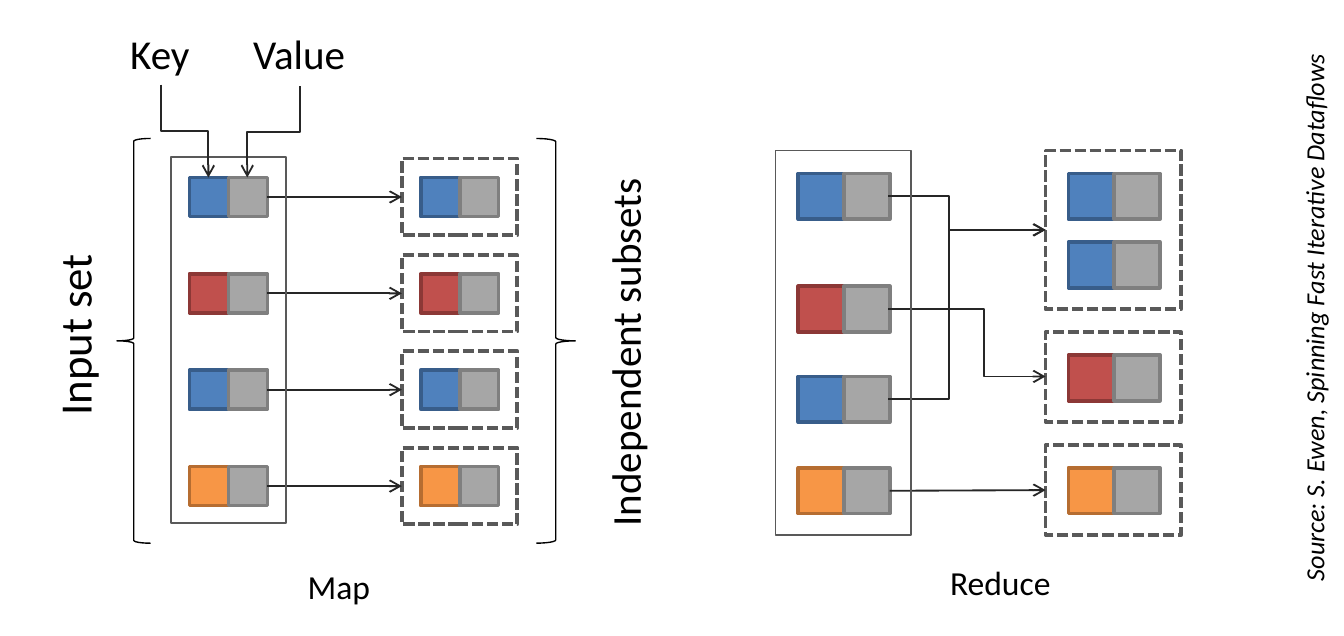
from dataclasses import dataclass

from pptx import Presentation
from pptx import util as u
from pptx.dml.color import RGBColor
from pptx.enum import dml, shapes, text
from pptx.oxml.ns import qn
from lxml import etree

Inches = u.Inches


@dataclass(frozen=True)
class Theme:
    font: str = "Calibri"
    ink: str = "000000"
    arrow: str = "262626"
    frame: str = "595959"
    value: tuple = ("A6A6A6", "7F7F7F")
    blue: tuple = ("4F81BD", "385D8A")
    red: tuple = ("C0504D", "8C3836")
    orange: tuple = ("F79646", "B66D31")
    heading: int = 24
    label: int = 22
    caption: int = 18
    source: int = 14


class Diagram:
    def __init__(self, slide, theme):
        self.slide, self.theme = slide, theme
        self.use_slide()

    def use_slide(self):
        self.shapes = self.slide.shapes

    def start_group(self):
        self.shapes = self.slide.shapes.add_group_shape().shapes

    def outline(self, kind, box, color, width, fill=None):
        shape = self.shapes.add_shape(kind, *map(Inches, box))
        shape.shadow.inherit = False
        if fill:
            shape.fill.solid()
            shape.fill.fore_color.rgb = RGBColor.from_string(fill)
        else:
            shape.fill.background()
        shape.line.color.rgb = RGBColor.from_string(color)
        shape.line.width = u.Pt(width)
        return shape

    def pair(self, x, y, side, key_colors):
        """Draw a key square beside a value square; return the value square."""
        for i, (fill, line) in enumerate((key_colors, self.theme.value)):
            square = self.outline(shapes.MSO_SHAPE.RECTANGLE,
                                  (x + i * side, y, side, side), line, 2, fill)
        return square

    def frame(self, box, dashed=False):
        frame = self.outline(shapes.MSO_SHAPE.RECTANGLE, box,
                             self.theme.frame, 2 if dashed else 1)
        if dashed:
            frame.line.dash_style = dml.MSO_LINE.SQUARE_DOT
        return frame

    def brace(self, kind, box):
        self.outline(kind, box, self.theme.ink, 0.75)

    def connector(self, kind, start, end):
        line = self.shapes.add_connector(kind, *map(Inches, (*start, *end)))
        line.line.color.rgb = RGBColor.from_string(self.theme.arrow)
        line.line.width = u.Pt(1)
        properties = line._element.spPr
        etree.SubElement(properties.find(qn("a:ln")), qn("a:tailEnd"), type="arrow")
        etree.SubElement(properties, qn("a:effectLst"))
        return line

    def arrow(self, source, target):
        """Join the right side of source to the left side of target."""
        line = self.connector(shapes.MSO_CONNECTOR.STRAIGHT, (0, 0), (1, 1))
        line.begin_connect(source, 3)
        line.end_connect(target, 1)

    def elbow(self, start, end, bend):
        """Leave sideways and turn at the given fraction of the width."""
        line = self.connector(shapes.MSO_CONNECTOR.ELBOW, start, end)
        adjustments = line._element.spPr.find(qn("a:prstGeom")).find(qn("a:avLst"))
        etree.SubElement(adjustments, qn("a:gd"), name="adj1",
                         fmla=f"val {round(bend * 100000)}")

    def elbow_down(self, start, end):
        """Leave downwards: a sideways elbow turned by a quarter."""
        (x1, y1), (x2, y2) = start, end
        x, y = (x1 + x2) / 2, (y1 + y2) / 2
        half_w, half_h = (y2 - y1) / 2, abs(x2 - x1) / 2
        line = self.connector(shapes.MSO_CONNECTOR.ELBOW,
                              (x - half_w, y - half_h), (x + half_w, y + half_h))
        placement = line._element.spPr.find(qn("a:xfrm"))
        if x2 > x1:
            placement.set("rot", "16200000")
            placement.set("flipH", "1")
        else:
            placement.set("rot", "5400000")

    def label(self, words, box, size, rotation=0, centred=False, wrap=True, italic=None):
        label = self.shapes.add_textbox(*map(Inches, box))
        label.rotation = rotation
        body = label.text_frame
        body.word_wrap = wrap
        body.auto_size = text.MSO_AUTO_SIZE.SHAPE_TO_FIT_TEXT
        paragraph = body.paragraphs[0]
        paragraph.text = words
        paragraph.alignment = text.PP_ALIGN.CENTER if centred else text.PP_ALIGN.LEFT
        font = paragraph.font
        font.name, font.size, font.italic = self.theme.font, u.Pt(size), italic
        font.color.rgb = RGBColor.from_string(self.theme.ink)


def draw_map(diagram):
    theme = diagram.theme
    side, first_row, row_step = 0.29, 1.32, 2.15 / 3
    diagram.start_group()
    for i, key in enumerate((theme.blue, theme.red, theme.blue, theme.orange)):
        y = first_row + i * row_step
        record = diagram.pair(1.41, y, side, key)
        diagram.pair(3.13, y, side, key)
        subset = diagram.frame((2.99, y - 0.14, 0.86, 0.57), dashed=True)
        diagram.arrow(record, subset)
    diagram.frame((1.27, 1.17, 0.86, 2.72))
    diagram.label("Input set", (-0.67, 2.24, 2.44, 0.5), theme.heading, 270, centred=True)
    diagram.brace(shapes.MSO_SHAPE.LEFT_BRACE, (0.87, 1.03, 0.25, 3.01))
    diagram.brace(shapes.MSO_SHAPE.RIGHT_BRACE, (3.99, 1.03, 0.29, 3.01))
    diagram.label("Key", (0.66, 0.16, 1.06, 0.47), theme.label, centred=True)
    diagram.label("Value", (1.52, 0.16, 1.41, 0.47), theme.label, centred=True)
    diagram.elbow_down((1.2, 0.63), (1.55, first_row))
    diagram.elbow_down((2.23, 0.64), (1.84, first_row))
    diagram.use_slide()
    diagram.label("Independent subsets", (3.18, 2.31, 2.94, 0.47), theme.label, 270)
    diagram.label("Map", (2.19, 4.16, 0.75, 0.4), theme.caption)


def draw_reduce(diagram):
    theme = diagram.theme
    side, output_left = 0.34, 7.78
    diagram.start_group()
    inputs = [diagram.pair(5.94, y, side, key) for y, key in
              ((1.29, theme.blue), (2.13, theme.red),
               (2.8, theme.blue), (3.48, theme.orange))]
    for y, key in ((1.29, theme.blue), (1.8, theme.blue),
                   (2.64, theme.red), (3.48, theme.orange)):
        diagram.pair(7.95, y, side, key)
    outputs = [diagram.frame((output_left, y, 1.01, height), dashed=True)
               for y, height in ((1.12, 1.18), (2.47, 0.67), (3.31, 0.67))]
    for start_y, end_y, bend in ((1.46, 1.71, 0.385), (2.3, 2.8, 0.61), (2.97, 1.71, 0.385)):
        diagram.elbow((6.61, start_y), (output_left, end_y), bend)
    diagram.arrow(inputs[-1], outputs[-1])
    diagram.frame((5.77, 1.12, 1.01, 2.86))
    diagram.use_slide()
    diagram.label("Reduce", (6.97, 4.13, 0.95, 0.4), theme.caption, wrap=False)


def main():
    deck = Presentation()
    deck.slide_width, deck.slide_height = Inches(10), Inches(4.73)
    blank = deck.slide_layouts[6]
    diagram = Diagram(deck.slides.add_slide(blank), Theme())
    draw_map(diagram)
    draw_reduce(diagram)
    diagram.label("Source: S. Ewen, Spinning Fast Iterative Dataflows",
                  (7.71, 2.18, 4.14, 0.34), diagram.theme.source, 270,
                  wrap=False, italic=True)
    deck.save("out.pptx")


if __name__ == "__main__":
    main()
